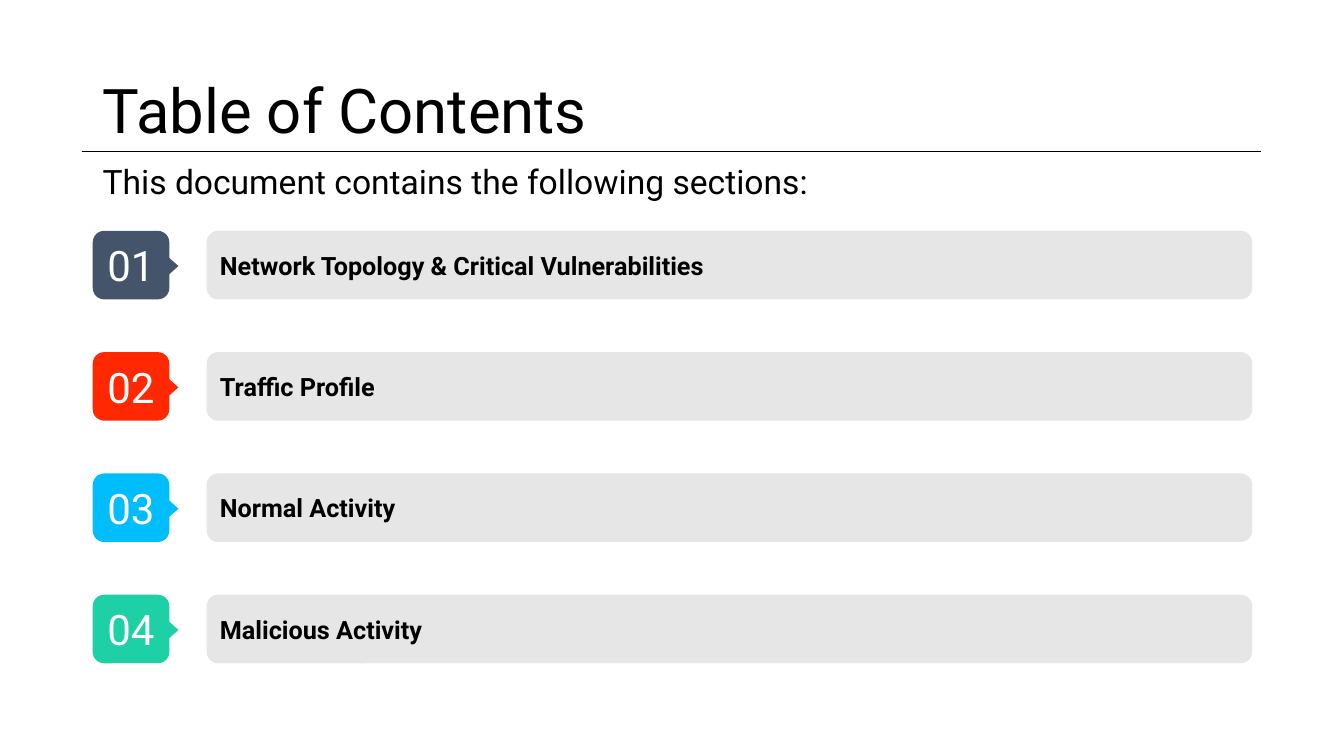
from lxml import etree
from pptx import Presentation
from pptx import util as u
from pptx.dml.color import RGBColor
from pptx.enum import shapes, text
from pptx.oxml.ns import qn

COLORS = {
    "ink": "000000", "bar": "E7E6E6", "white": "FFFFFF",
    "slate": "44546A", "red": "FF2800", "blue": "00BDFB", "green": "1ED0A6",
}
HEADING = "Table of Contents"
INTRO = "This document contains the following sections:"
SECTIONS = [
    ("01", "Network Topology & Critical Vulnerabilities", "slate"),
    ("02", "Traffic Profile", "red"),
    ("03", "Normal Activity", "blue"),
    ("04", "Malicious Activity", "green"),
]
HEADING_BOX = (0.92, 0.4, 11.5, 1.45)
INTRO_BOX = (0.92, 1.52, 11.5, 0.53)
RULE_LEFT, RULE_RIGHT, RULE_TOP = 0.81, 12.51, 1.5

FIRST_TOP, LAST_TOP, ROW_HEIGHT = 2.29, 5.9, 0.68
BADGE_LEFT, BADGE_WIDTH = 0.92, 0.76
POINTER_LEFT, POINTER_WIDTH, POINTER_HEIGHT = 1.48, 0.37, 0.21
BAR_LEFT, BAR_WIDTH = 2.05, 10.37
PITCH = (LAST_TOP - FIRST_TOP) / (len(SECTIONS) - 1)

MIDDLE, BOTTOM = text.MSO_ANCHOR.MIDDLE, text.MSO_ANCHOR.BOTTOM
LEFT, CENTER = text.PP_ALIGN.LEFT, text.PP_ALIGN.CENTER
ROUNDED = shapes.MSO_SHAPE.ROUNDED_RECTANGLE
EXTRACT = shapes.MSO_SHAPE.FLOWCHART_EXTRACT


def rgb(color):
    return RGBColor.from_string(COLORS[color])


def apply(target, formats):
    for name, value in formats.items():
        setattr(target, name, value)


def write(shape, words, color, font, paragraph, frame):
    apply(shape.text_frame, {"word_wrap": True, **frame})
    line = shape.text_frame.paragraphs[0]
    apply(line, paragraph)
    run = line.add_run()
    run.text = words
    apply(run.font, {"name": "Roboto", **font})
    run.font.color.rgb = rgb(color)


def add_filled(slide, kind, box, color):
    shape = slide.shapes.add_shape(kind, *map(u.Inches, box))
    shape.shadow.inherit = False
    shape.fill.solid()
    shape.fill.fore_color.rgb = rgb(color)
    shape.line.fill.background()
    return shape


def add_label(slide, box, fill, words, color, font, alignment):
    label = add_filled(slide, ROUNDED, box, fill)
    label.adjustments[0] = 0.167
    inset = u.Inches(0.1)
    frame = {"vertical_anchor": MIDDLE}
    frame.update({f"margin_{side}": inset for side in ("left", "top", "right", "bottom")})
    write(label, words, color, font, {"alignment": alignment}, frame)


def add_header(slide):
    rule = slide.shapes.add_connector(
        shapes.MSO_CONNECTOR.STRAIGHT,
        *map(u.Inches, (RULE_LEFT, RULE_TOP, RULE_RIGHT, RULE_TOP)))
    rule.line.width = u.Pt(0.75)
    rule.line.color.rgb = rgb("ink")
    etree.SubElement(rule._element.spPr, qn("a:effectLst"))

    for box, words, size, anchor, before in (
        (HEADING_BOX, HEADING, 44, MIDDLE, 0),
        (INTRO_BOX, INTRO, 24, BOTTOM, 10),
    ):
        header = slide.shapes.add_textbox(*map(u.Inches, box))
        write(header, words, "ink", {"size": u.Pt(size)},
              {"line_spacing": 0.9, "space_before": u.Pt(before)},
              {"vertical_anchor": anchor})


def add_section(slide, top, number, words, color):
    add_label(slide, (BADGE_LEFT, top, BADGE_WIDTH, ROW_HEIGHT), color,
              number, "white", {"size": u.Pt(30)}, CENTER)
    pointer_top = top + (ROW_HEIGHT - POINTER_HEIGHT) / 2 + 0.01
    pointer = add_filled(slide, EXTRACT,
                         (POINTER_LEFT, pointer_top, POINTER_WIDTH, POINTER_HEIGHT), color)
    pointer.rotation = 90
    add_label(slide, (BAR_LEFT, top, BAR_WIDTH, ROW_HEIGHT), "bar",
              words, "ink", {"size": u.Pt(18), "bold": True}, LEFT)


def main():
    deck = Presentation()
    apply(deck, {"slide_width": u.Inches(13.33), "slide_height": u.Inches(7.5)})
    slide = deck.slides.add_slide(deck.slide_layouts[6])
    add_header(slide)
    for row, section in enumerate(SECTIONS):
        add_section(slide, FIRST_TOP + row * PITCH, *section)
    deck.save("out.pptx")


if __name__ == "__main__":
    main()
